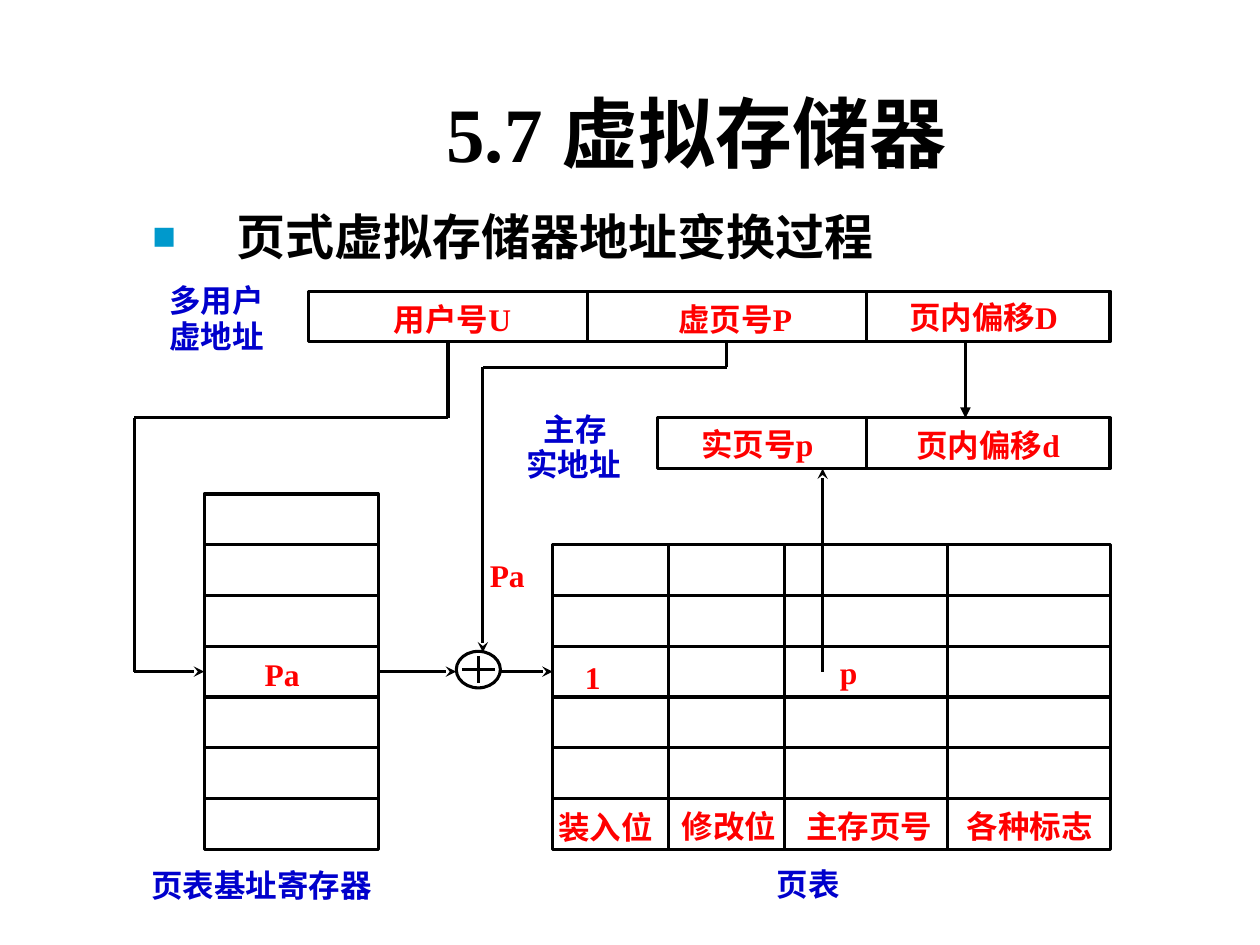
import itertools
from dataclasses import dataclass

import pptx
import pptx.dml.color
import pptx.enum.lang
import pptx.enum.shapes
import pptx.enum.text
import pptx.oxml
import pptx.oxml.ns
import pptx.util
from pptx.util import Inches, Pt

SHAPE = pptx.enum.shapes.MSO_SHAPE
CENTER = pptx.enum.text.PP_ALIGN.CENTER
MIDDLE = pptx.enum.text.MSO_ANCHOR.MIDDLE
CHINESE = pptx.enum.lang.MSO_LANGUAGE_ID.SIMPLIFIED_CHINESE


@dataclass(frozen=True)
class Theme:
    ink: str = "000000"
    paper: str = "FFFFFF"
    field: str = "FF0000"
    caption: str = "0000CC"
    bullet: str = "0099CC"
    serif: str = "Times New Roman"
    sans: str = "Arial"
    title_size: float = 44
    body_size: float = 28
    label_size: float = 18
    line: float = 1.75


THEME = Theme()

# Diagram grid: 26 columns and 11 rows between these edges.
LEFT, TOP = 1.62, 2.31
COL, ROW = 7.19 / 26, 4.43 / 11

# Text, centre column and centre row.
FIELDS = (
    ("用户号U", 7.13, 0.54), ("虚页号P", 15.24, 0.54), ("页内偏移D", 22.37, 0.52),
    ("实页号p", 15.88, 3.02), ("页内偏移d", 22.5, 3.04),
    ("Pa", 2.24, 7.54), ("Pa", 8.7, 5.6), ("1", 11.15, 7.6), ("p", 18.5, 7.5),
    ("装入位", 11.52, 10.56), ("修改位", 15.06, 10.54),
    ("主存页号", 19.09, 10.54), ("各种标志", 23.7, 10.54),
)
CAPTIONS = (
    ("多用户", 0.35, 0.17), ("虚地址", 0.35, 0.89),
    ("主存", 10.65, 2.72), ("实地址", 10.6, 3.4),
    ("页表基址寄存器", 1.65, 11.7), ("页表", 17.34, 11.68),
)


def x(col):
    return Inches(LEFT + col * COL)


def y(row):
    return Inches(TOP + row * ROW)


def rgb(color):
    return pptx.dml.color.RGBColor.from_string(color)


def set_all(obj, **values):
    for name, value in values.items():
        setattr(obj, name, value)


def xml(text):
    return pptx.oxml.parse_xml(text.replace(">", f" {pptx.oxml.ns.nsdecls('a')}>", 1))


def write(p, text, size=THEME.label_size, color=THEME.field, name=THEME.serif):
    r = p.add_run()
    r.text = text
    set_all(r.font, size=Pt(size), bold=True, name=name, language_id=CHINESE)
    r.font.color.rgb = rgb(color)


def fill_placeholder(sp, box, text, **font):
    """Place a template placeholder and return its only paragraph."""
    set_all(sp, **dict(zip(("left", "top", "width", "height"), map(Inches, box))))
    tf = sp.text_frame
    set_all(tf, auto_size=pptx.enum.text.MSO_AUTO_SIZE.NONE, word_wrap=True)
    p = tf.paragraphs[0]
    p.space_before = Pt(0)
    write(p, text, **font)
    return p


def add_bullet(p):
    pPr = p._p.get_or_add_pPr()
    pPr.set("marL", str(Inches(0.67)))
    pPr.set("indent", str(-Inches(0.67)))
    for part in (f'<a:buClr><a:srgbClr val="{THEME.bullet}"/></a:buClr>',
                 '<a:buSzPct val="80000"></a:buSzPct>',
                 '<a:buFont typeface="Arial"></a:buFont>',
                 '<a:buChar char="■"></a:buChar>'):
        pPr.append(xml(part))


def add_label(s, text, col, row, color):
    """Centre a line of text on a grid point."""
    w, h = Inches(0.5 + 0.28 * len(text)), Inches(0.6)
    sp = s.shapes.add_textbox(x(col) - w // 2, y(row) - h // 2, w, h)
    tf = sp.text_frame
    set_all(tf, word_wrap=True, vertical_anchor=MIDDLE)
    p = tf.paragraphs[0]
    p.alignment = CENTER
    write(p, text, color=color)


def add_outlined(s, kind, left, top, width, height):
    sp = s.shapes.add_shape(kind, left, top, width, height)
    sp.shadow.inherit = False
    sp.fill.solid()
    sp.fill.fore_color.rgb = rgb(THEME.paper)
    sp.line.color.rgb = rgb(THEME.ink)
    sp.line.width = Pt(THEME.line)


def add_route(s, *points, head=None):
    """Join grid points with straight lines; the last may carry an arrowhead."""
    for (c1, r1), (c2, r2) in itertools.pairwise(points):
        sp = s.shapes.add_connector(pptx.enum.shapes.MSO_CONNECTOR.STRAIGHT,
                                    x(c1), y(r1), x(c2), y(r2))
        sp.line.width = Pt(THEME.line)
        sp.line.color.rgb = rgb(THEME.ink)
        sp._element.spPr.append(xml("<a:effectLst></a:effectLst>"))
    if head:
        sp.line._get_or_add_ln().append(xml(f'<a:tailEnd type="{head}"></a:tailEnd>'))


def add_register(s, edges, row, rows=1):
    """Draw a box divided at the inner column edges and at every row."""
    left, *inner, right = edges
    bottom = row + rows
    add_outlined(s, SHAPE.RECTANGLE, x(left), y(row),
                 x(right) - x(left), y(bottom) - y(row))
    for i in range(1, rows):
        add_route(s, (left, row + i), (right, row + i))
    for col in inner:
        add_route(s, (col, row), (col, bottom))


def add_adder(s, col, row, width=0.35, height=0.29):
    w, h = Inches(width), Inches(height)
    add_outlined(s, SHAPE.OVAL, x(col) - w // 2, y(row) - h // 2, w, h)
    dx, dy = 0.37 * width / COL, 0.37 * height / ROW
    add_route(s, (col - dx, row), (col + dx, row))
    add_route(s, (col, row + dy), (col, row - dy))


def add_registers(s):
    add_register(s, (10, 13.33, 16.67, 21.33, 26), 5, 6)
    add_register(s, (13, 19, 26), 2.5)
    add_register(s, (3, 11, 19, 26), 0)
    add_register(s, (0, 5), 4, 7)


def add_routes(s):
    entry = 7.5
    add_adder(s, 7.87, 7.46)
    add_route(s, (7, 1), (7, 2.5), (-2, 2.5), (-2, entry), (0, entry), head="stealth")
    add_route(s, (15, 1), (15, 1.5), (8, 1.5), (8, 7.12), head="stealth")
    add_route(s, (5, entry), (7.23, entry), head="stealth")
    add_route(s, (8.5, entry), (10, entry), head="stealth")
    add_route(s, (17.75, entry), (17.75, 3.5), head="stealth")
    add_route(s, (21.85, 1), (21.85, 2.5), head="triangle")


def main():
    prs = pptx.Presentation()
    set_all(prs, slide_width=Inches(10), slide_height=Inches(7.5))
    s = prs.slides.add_slide(prs.slide_layouts[1])
    title, body = s.placeholders
    p = fill_placeholder(title, (1.28, 0.5, 8.5, 1.09), "5.7 虚拟存储器",
                         size=THEME.title_size, color=THEME.ink)
    p.alignment = CENTER
    title.text_frame.vertical_anchor = MIDDLE
    p = fill_placeholder(body, (1.11, 1.59, 8.71, 1.23), "页式虚拟存储器地址变换过程",
                         size=THEME.body_size, color=THEME.ink, name=THEME.sans)
    add_bullet(p)
    add_registers(s)
    add_routes(s)
    for labels, color in ((FIELDS, THEME.field), (CAPTIONS, THEME.caption)):
        for label in labels:
            add_label(s, *label, color)
    prs.save("out.pptx")


if __name__ == "__main__":
    main()
